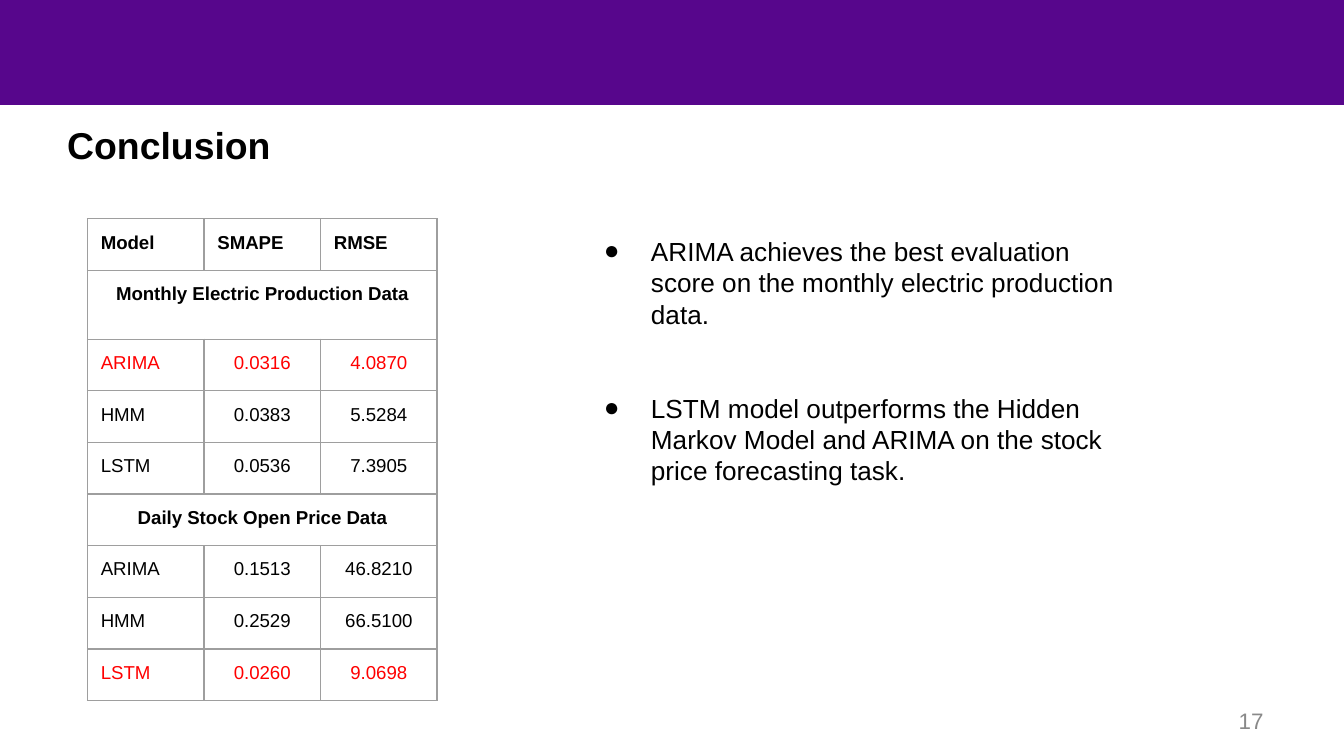
from lxml import etree
from pptx import Presentation
from pptx.dml.color import RGBColor
from pptx.enum.shapes import MSO_SHAPE
from pptx.enum.text import MSO_ANCHOR, PP_ALIGN
from pptx.oxml.ns import qn
from pptx.util import Inches, Pt

RECTANGLE = MSO_SHAPE.RECTANGLE
TOP, MIDDLE = MSO_ANCHOR.TOP, MSO_ANCHOR.MIDDLE
LEFT, CENTER, RIGHT = PP_ALIGN.LEFT, PP_ALIGN.CENTER, PP_ALIGN.RIGHT

WIDTH = Inches(10)
HEIGHT = WIDTH * 9 // 16
FONT = "Arial"
PURPLE, BLACK, RED = "57068C", "000000", "FF0000"
PAGE_GRAY, GRID_GRAY = "898989", "9E9E9E"

SCORES = [
    ["Model", "SMAPE", "RMSE"],
    ["Monthly Electric Production Data"],
    ["ARIMA", "0.0316", "4.0870"],
    ["HMM", "0.0383", "5.5284"],
    ["LSTM", "0.0536", "7.3905"],
    ["Daily Stock Open Price Data"],
    ["ARIMA", "0.1513", "46.8210"],
    ["HMM", "0.2529", "66.5100"],
    ["LSTM", "0.0260", "9.0698"],
]
HEADER_ROW, TALL_ROW = 0, 1
BEST_ROWS = {2, 8}
TALL_RATIO = 1.33  # height of the tall row against the others

FINDINGS = [
    "ARIMA achieves the best evaluation score on the monthly electric production data.",
    "LSTM model outperforms the Hidden Markov Model and ARIMA on the stock price forecasting task.",
]


def color(hex_text):
    return RGBColor.from_string(hex_text)


def box(left, top, width, height):
    """Turn percentages of the slide's size into lengths."""
    return (int(WIDTH * left / 100), int(HEIGHT * top / 100),
            int(WIDTH * width / 100), int(HEIGHT * height / 100))


def write(paragraph, text, size=14, ink=BLACK, bold=False, align=LEFT):
    paragraph.alignment = align
    run = paragraph.add_run()
    run.text = text
    run.font.name = FONT
    run.font.size = Pt(size)
    run.font.bold = bold
    run.font.color.rgb = color(ink)


def text_frame(slide, area, inset_x=0.1, inset_y=0.1, anchor=TOP):
    frame = slide.shapes.add_textbox(*area).text_frame
    frame.word_wrap = True
    frame.vertical_anchor = anchor
    frame.margin_left = frame.margin_right = Inches(inset_x)
    frame.margin_top = frame.margin_bottom = Inches(inset_y)
    return frame


def add_bullet(paragraph):
    properties = paragraph._p.get_or_add_pPr()
    properties.set("marL", str(Inches(0.5)))
    properties.set("indent", str(Inches(-0.35)))
    bullet_color = etree.SubElement(properties, qn("a:buClr"))
    etree.SubElement(bullet_color, qn("a:srgbClr"), val=BLACK)
    etree.SubElement(properties, qn("a:buFont"), typeface=FONT)
    etree.SubElement(properties, qn("a:buChar"), char="●")


def style_cell(cell):
    cell.margin_left = cell.margin_right = Inches(0.1)
    cell.margin_top = cell.margin_bottom = Inches(0.1)
    properties = cell._tc.get_or_add_tcPr()
    for side in ("lnL", "lnR", "lnT", "lnB"):
        border = etree.SubElement(properties, qn(f"a:{side}"), w=str(Pt(0.75)))
        fill = etree.SubElement(border, qn("a:solidFill"))
        etree.SubElement(fill, qn("a:srgbClr"), val=GRID_GRAY)
    cell.fill.background()


def draw_band(slide, area):
    band = slide.shapes.add_shape(RECTANGLE, *area)
    band.shadow.inherit = False
    band.fill.solid()
    band.fill.fore_color.rgb = color(PURPLE)
    band.line.fill.background()


def draw_title(slide, area):
    frame = text_frame(slide, area, inset_x=0, inset_y=0)
    write(frame.paragraphs[0], "Conclusion", size=20, bold=True)


def draw_page_number(slide, area):
    frame = text_frame(slide, area, inset_y=0.05, anchor=MIDDLE)
    write(frame.paragraphs[0], "17", size=12, ink=PAGE_GRAY, align=RIGHT)


def draw_scores(slide, area):
    column_count = len(SCORES[HEADER_ROW])
    table = slide.shapes.add_table(len(SCORES), column_count, *area).table
    table.first_row = table.horz_banding = False
    for column in table.columns:
        column.width = area[2] // column_count
    row_height = area[3] / (len(SCORES) - 1 + TALL_RATIO)

    for r, values in enumerate(SCORES):
        table.rows[r].height = int(row_height * (TALL_RATIO if r == TALL_ROW else 1))
        for c in range(column_count):
            style_cell(table.cell(r, c))
        is_section = len(values) == 1
        if is_section:
            table.cell(r, 0).merge(table.cell(r, column_count - 1))
        for c, value in enumerate(values):
            is_score = c > 0 and r != HEADER_ROW
            write(table.cell(r, c).text_frame.paragraphs[0], value, size=10,
                  ink=RED if r in BEST_ROWS else BLACK,
                  bold=is_section or r == HEADER_ROW,
                  align=CENTER if is_section or is_score else LEFT)


def draw_findings(slide, area):
    frame = text_frame(slide, area)
    for i, finding in enumerate(FINDINGS):
        paragraph = frame.add_paragraph() if i else frame.paragraphs[0]
        if i:
            paragraph.space_before = Pt(33.5)
        write(paragraph, finding)
        add_bullet(paragraph)


def main():
    deck = Presentation()
    deck.slide_width, deck.slide_height = WIDTH, HEIGHT
    slide = deck.slides.add_slide(deck.slide_layouts[6])

    # Header
    draw_band(slide, box(0, 0, 100.1, 13.87))
    draw_title(slide, box(5, 16.18, 46.2, 7.5))
    # Body: scores on the left, findings on the right
    draw_scores(slide, box(6.5, 28.95, 26.03, 63.75))
    draw_findings(slide, box(42.45, 29.33, 42.9, 63.8))
    # Footer
    draw_page_number(slide, box(71.7, 92.7, 23.3, 5.3))

    deck.save("out.pptx")


if __name__ == "__main__":
    main()
